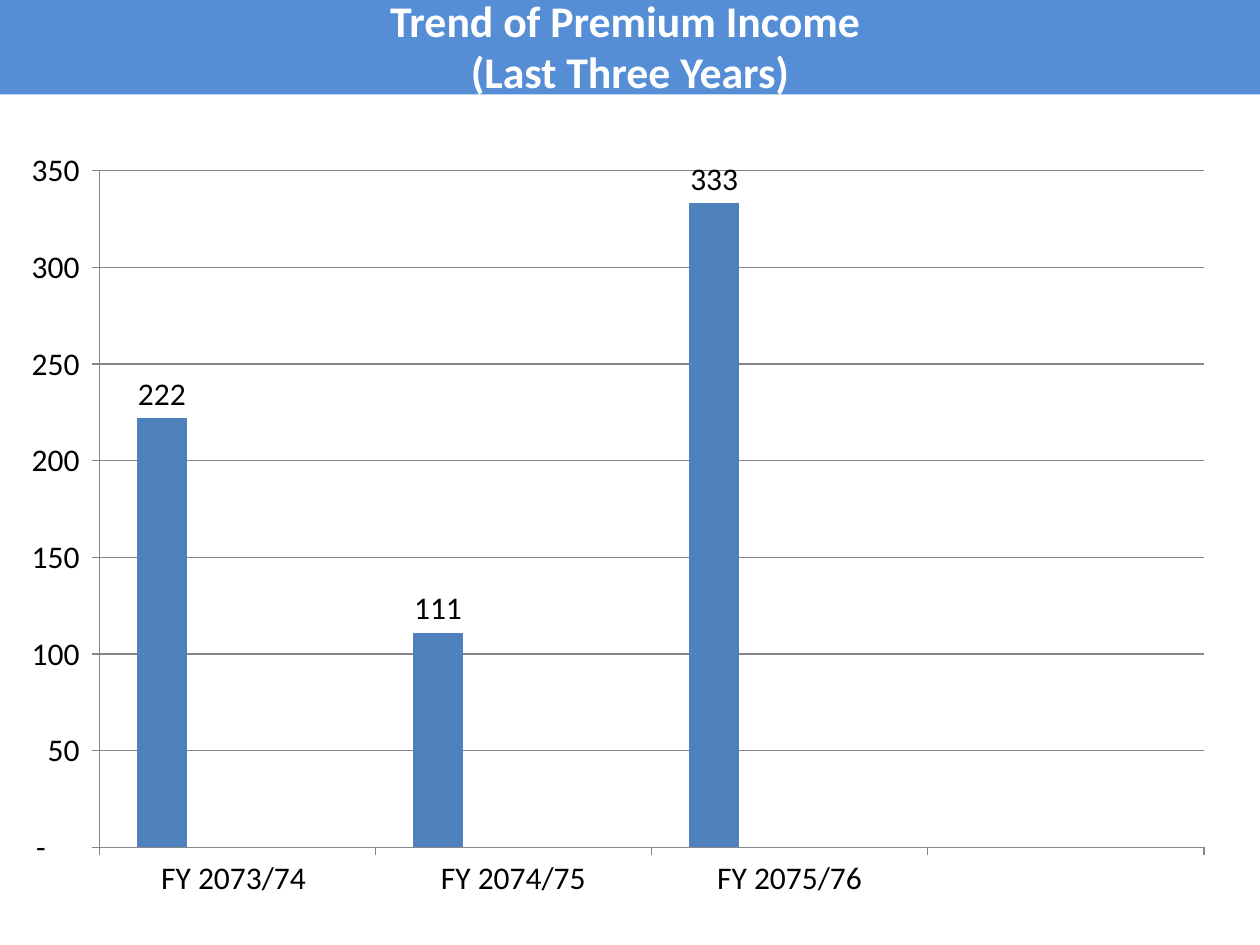
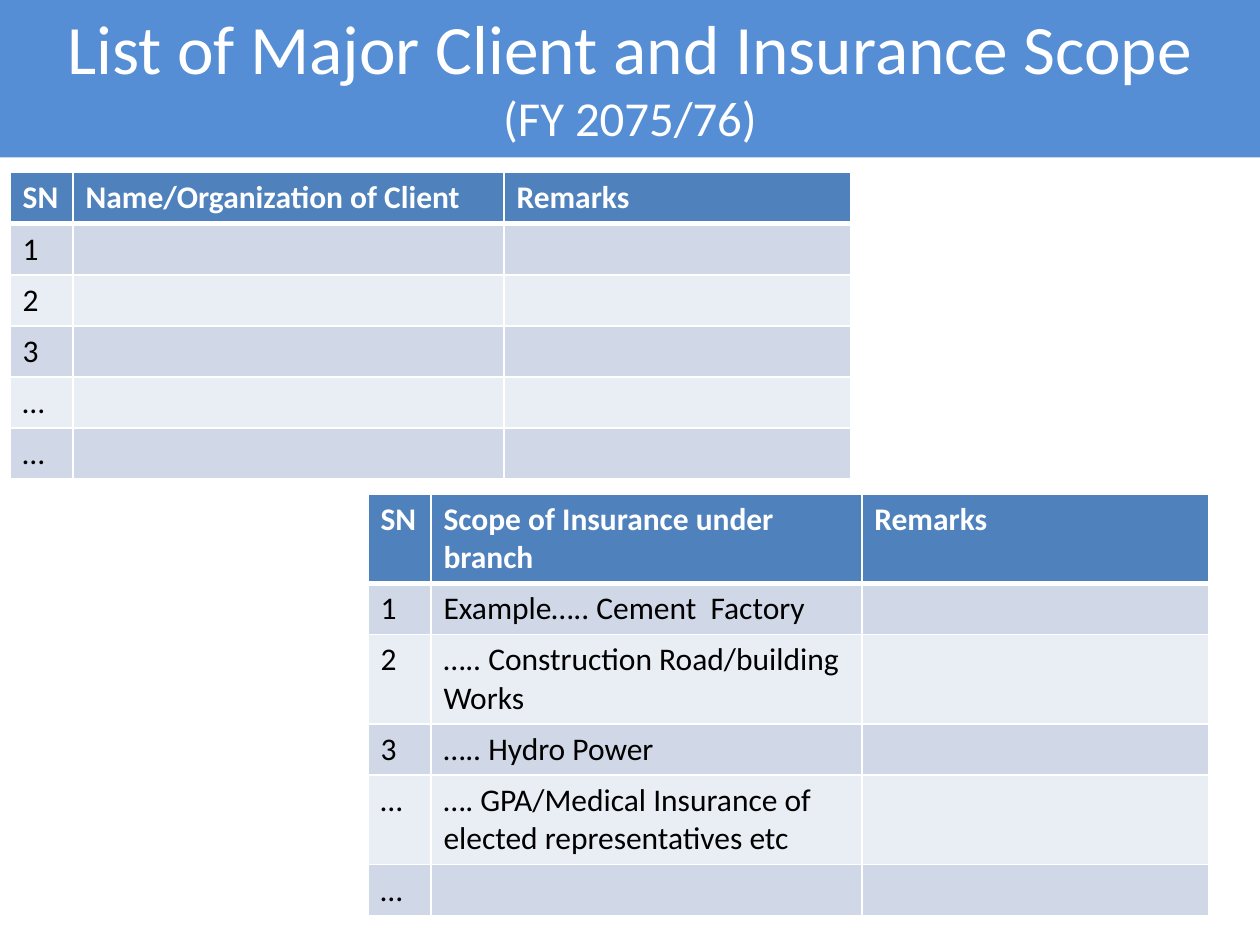
from dataclasses import dataclass

from lxml.etree import SubElement
from pptx import Presentation
from pptx.chart.data import CategoryChartData
from pptx.dml.color import RGBColor
from pptx.enum.chart import XL_CHART_TYPE as ChartType
from pptx.enum.chart import XL_LABEL_POSITION as LabelPosition
from pptx.enum.chart import XL_TICK_MARK as TickMark
from pptx.enum.shapes import MSO_SHAPE as Shape
from pptx.enum.text import MSO_ANCHOR as Anchor
from pptx.enum.text import PP_ALIGN as Align
from pptx.oxml.ns import qn
from pptx.slide import Slide
from pptx.table import _Cell as Cell
from pptx.text.text import Font
from pptx.util import Inches, Pt

FONT = "Calibri"
BODY_SIZE = 18
TITLE_LINE_SPACING = 0.97
WHITE = RGBColor(0xFF, 0xFF, 0xFF)
BLACK = RGBColor(0, 0, 0)
BAND_BLUE = RGBColor(0x55, 0x8E, 0xD5)
BLUE = RGBColor(0x4F, 0x81, 0xBD)
RED = RGBColor(0xC0, 0x50, 0x4D)
GREEN = RGBColor(0x9B, 0xBB, 0x59)
PURPLE = RGBColor(0x80, 0x64, 0xA2)
AXIS_GREY = RGBColor(0x86, 0x86, 0x86)
ROW_DARK = RGBColor(0xD0, 0xD8, 0xE8)
ROW_LIGHT = RGBColor(0xE9, 0xED, 0xF4)

SLIDE_WIDTH = 10
COLUMN_WIDTHS = (0.5, 3.42, 2.75)
ROW_HEIGHT = 0.4
SERIAL_NUMBERS = ("1", "2", "3", "…", "…")
ACCOUNTING = r'_(* #,##0_);_(* \(#,##0\);_(* "-"??_);_('

YEARS = ("FY 2073/74 ", "FY 2074/75", "FY 2075/76", "")
PREMIUMS = (222, 111, 333, None)
NO_VALUES = (None,) * len(YEARS)


@dataclass(frozen=True)
class TitleLine:
    text: str
    size: float
    bold: bool = False


@dataclass(frozen=True)
class ListTable:
    left: float
    top: float
    heading: str
    entries: tuple[str, ...]


@dataclass(frozen=True)
class PremiumSeries:
    name: str
    values: tuple
    color: RGBColor
    label_format: str = "General"


TREND_TITLE = (
    TitleLine("Trend of Premium Income ", 25, True),
    TitleLine("(Last Three Years)", 25, True),
)
CLIENT_TITLE = (
    TitleLine("List of Major Client and Insurance Scope", 39.6),
    TitleLine("(FY 2075/76)", 27.9),
)
LIST_TABLES = (
    ListTable(0.08, 1.37, "Name/Organization of Client", ("",) * 5),
    ListTable(2.92, 3.92, "Scope of Insurance under branch", (
        "Example….. Cement  Factory",
        "….. Construction Road/building Works",
        "….. Hydro Power",
        "…. GPA/Medical Insurance of elected representatives etc",
        "",
    )),
)
PREMIUM_SERIES = (
    PremiumSeries("Series 1", PREMIUMS, BLUE, ACCOUNTING),
    PremiumSeries("Series 2", NO_VALUES, RED),
    PremiumSeries("Series 3", NO_VALUES, GREEN),
    PremiumSeries("Series 4", NO_VALUES, PURPLE),
)


def set_font(font: Font, size: float, color: RGBColor, bold: bool = False) -> None:
    font.name = FONT
    font.size = Pt(size)
    font.bold = bold
    font.color.rgb = color


def add_title_band(slide: Slide, height: float, lines: tuple[TitleLine, ...]) -> None:
    band = slide.shapes.add_shape(
        Shape.RECTANGLE, 0, 0, Inches(SLIDE_WIDTH), Inches(height))
    band.shadow.inherit = False
    band.fill.solid()
    band.fill.fore_color.rgb = BAND_BLUE
    band.line.fill.background()
    frame = band.text_frame
    frame.word_wrap = True
    frame.vertical_anchor = Anchor.MIDDLE
    frame.margin_top = frame.margin_bottom = Inches(0.05)
    for index, line in enumerate(lines):
        paragraph = frame.add_paragraph() if index else frame.paragraphs[0]
        paragraph.text = line.text
        paragraph.alignment = Align.CENTER
        paragraph.line_spacing = TITLE_LINE_SPACING
        set_font(paragraph.font, line.size, WHITE, line.bold)


def add_premium_chart(slide: Slide) -> None:
    data = CategoryChartData()
    data.categories = YEARS
    for entry in PREMIUM_SERIES:
        data.add_series(entry.name, entry.values)
    chart = slide.shapes.add_chart(
        ChartType.COLUMN_CLUSTERED, Inches(0), Inches(1.08),
        Inches(9.75), Inches(6.17), data).chart
    chart.has_legend = False
    chart.has_title = False
    set_font(chart.font, BODY_SIZE, BLACK)

    plot = chart.plots[0]
    plot.gap_width = 150
    plot.overlap = 0
    plot.vary_by_categories = False
    for series, entry in zip(plot.series, PREMIUM_SERIES):
        series.format.fill.solid()
        series.format.fill.fore_color.rgb = entry.color
        labels = series.data_labels
        labels.show_value = True
        labels.position = LabelPosition.OUTSIDE_END
        labels.number_format = entry.label_format
        labels.number_format_is_linked = False

    values = chart.value_axis
    values.minimum_scale, values.maximum_scale, values.major_unit = 0, 350, 50
    values.tick_labels.number_format = ACCOUNTING
    values.tick_labels.number_format_is_linked = False
    values.has_major_gridlines = True
    for axis in (chart.category_axis, values):
        axis.major_tick_mark = TickMark.OUTSIDE
    for part in (chart.category_axis, values, values.major_gridlines):
        part.format.line.color.rgb = AXIS_GREY
        part.format.line.width = Pt(0.75)


def set_borders(cell: Cell, top: float, bottom: float) -> None:
    """Draw white cell borders, one point wide at the left and right."""
    properties = cell._tc.get_or_add_tcPr()
    for side, width in (("L", 1), ("R", 1), ("T", top), ("B", bottom)):
        border = SubElement(properties, qn(f"a:ln{side}"), w=str(Pt(width)))
        fill = SubElement(border, qn("a:solidFill"))
        SubElement(fill, qn("a:srgbClr"), val=str(WHITE))


def add_list_table(slide: Slide, listing: ListTable) -> None:
    rows = [("SN", listing.heading, "Remarks")]
    rows += [(number, entry, "")
             for number, entry in zip(SERIAL_NUMBERS, listing.entries)]
    table = slide.shapes.add_table(
        len(rows), len(COLUMN_WIDTHS), Inches(listing.left), Inches(listing.top),
        Inches(sum(COLUMN_WIDTHS)), Inches(ROW_HEIGHT * len(rows))).table
    for column, width in zip(table.columns, COLUMN_WIDTHS):
        column.width = Inches(width)
    for row_index, row in enumerate(rows):
        is_header = row_index == 0
        if is_header:
            row_fill = BLUE
        else:
            row_fill = ROW_DARK if row_index % 2 else ROW_LIGHT
        for column_index, text in enumerate(row):
            cell = table.cell(row_index, column_index)
            set_borders(cell, top=3 if row_index == 1 else 1,
                        bottom=3 if is_header else 1)
            cell.fill.solid()
            cell.fill.fore_color.rgb = row_fill
            cell.text = text
            set_font(cell.text_frame.paragraphs[0].font, BODY_SIZE,
                     WHITE if is_header else BLACK, is_header)


def main() -> None:
    deck = Presentation()
    deck.slide_width, deck.slide_height = Inches(SLIDE_WIDTH), Inches(7.5)
    blank = deck.slide_layouts[6]

    trend = deck.slides.add_slide(blank)
    add_premium_chart(trend)
    add_title_band(trend, 0.75, TREND_TITLE)

    clients = deck.slides.add_slide(blank)
    add_title_band(clients, 1.25, CLIENT_TITLE)
    for list_table in LIST_TABLES:
        add_list_table(clients, list_table)

    deck.save("out.pptx")


if __name__ == "__main__":
    main()
